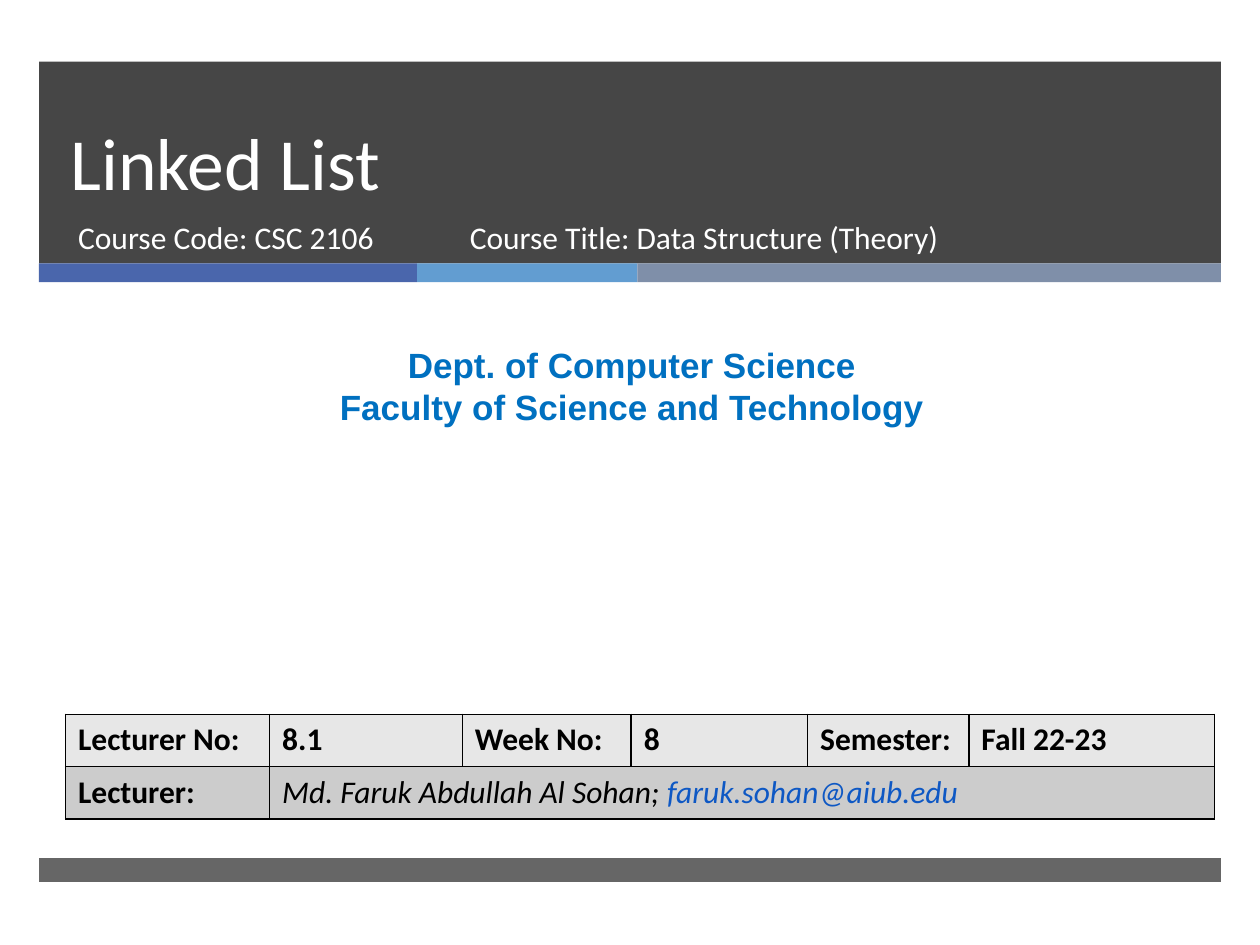
from lxml.etree import SubElement
from pptx import Presentation
from pptx.dml.color import RGBColor
from pptx.enum.shapes import MSO_SHAPE
from pptx.enum.text import MSO_ANCHOR, MSO_AUTO_SIZE, PP_ALIGN
from pptx.oxml.ns import qn
from pptx.util import Inches, Pt

DARK, WHITE, BLACK = "262626", "FFFFFF", "000000"


def rgb(color):
    return RGBColor.from_string(color)


def place(sp, left, top, width, height):
    sp.left, sp.top = Inches(left), Inches(top)
    sp.width, sp.height = Inches(width), Inches(height)


def add_run(p, text, size, color, font="Calibri", bold=False, italic=False):
    r = p.add_run()
    r.text = text
    f = r.font
    f.name, f.size, f.bold, f.italic = font, Pt(size), bold, italic
    f.color.rgb = rgb(color)


def add_band(s, left, top, width, height, color, alpha=100):
    sp = s.shapes.add_shape(MSO_SHAPE.RECTANGLE, Inches(left), Inches(top),
                            Inches(width), Inches(height))
    sp.shadow.inherit = False
    sp.fill.solid()
    sp.fill.fore_color.rgb = rgb(color)
    sp.line.fill.background()
    if alpha < 100:
        clr = sp.fill._xPr.find(qn("a:solidFill"))[0]
        SubElement(clr, qn("a:alpha"), val=str(alpha * 1000))


def fill_text(sp, lines, size, color, align=PP_ALIGN.LEFT,
              anchor=MSO_ANCHOR.TOP, line_spacing=None, **style):
    tf = sp.text_frame
    tf.word_wrap = True
    tf.auto_size = MSO_AUTO_SIZE.NONE
    tf.vertical_anchor = anchor
    for i, line in enumerate(lines):
        p = tf.add_paragraph() if i else tf.paragraphs[0]
        p.alignment = align
        p.space_before = Pt(0)
        if line_spacing:
            p.line_spacing = Pt(line_spacing)
        add_run(p, line, size, color, **style)


def add_text(s, box, lines, size, color, **style):
    sp = s.shapes.add_textbox(*map(Inches, box))
    fill_text(sp, lines, size, color, **style)


def format_cell(cell, fill):
    tcPr = cell._tc.get_or_add_tcPr()
    for side in ("a:lnL", "a:lnR", "a:lnT", "a:lnB"):
        ln = SubElement(tcPr, qn(side), w=str(Pt(1)))
        SubElement(SubElement(ln, qn("a:solidFill")), qn("a:srgbClr"), val=BLACK)
    cell.fill.solid()
    cell.fill.fore_color.rgb = rgb(fill)


def add_lecture_table(s):
    widths = [1.62, 1.53, 1.34, 1.4, 1.28, 1.95]
    tbl = s.shapes.add_table(2, 6, Inches(0.52), Inches(5.67),
                             Inches(sum(widths)), Inches(0.83)).table
    for col, width in zip(tbl.columns, widths):
        col.width = Inches(width)
    for row, fill in zip(tbl.rows, ("E7E7E7", "CCCCCC")):
        row.height = Inches(0.415)
        for cell in row.cells:
            format_cell(cell, fill)
    tbl.cell(1, 1).merge(tbl.cell(1, 5))

    labels = [["Lecturer No:", "8.1", "Week No:", "8", "Semester:", "Fall 22-23"],
              ["Lecturer:"]]
    for i, row in enumerate(labels):
        for j, text in enumerate(row):
            p = tbl.cell(i, j).text_frame.paragraphs[0]
            add_run(p, text, 18, BLACK, bold=True)
    p = tbl.cell(1, 1).text_frame.paragraphs[0]
    add_run(p, "Md. Faruk Abdullah Al Sohan; ", 18, BLACK, italic=True)
    add_run(p, "faruk.sohan@aiub.edu", 18, "0E58C4", italic=True)


def main():
    prs = Presentation()
    prs.slide_width, prs.slide_height = Inches(10), Inches(7.5)
    s = prs.slides.add_slide(prs.slide_layouts[0])
    title, subtitle = s.placeholders

    # Header, accent strip and footer
    add_band(s, 0.31, 0.49, 9.38, 1.6, DARK, 85)
    left = 0.31
    for width, color in ((3, "4A66AC"), (1.75, "629DD1"), (4.63, "7F8FA9")):
        add_band(s, left, 2.09, width, 0.15, color)
        left += width
    add_band(s, 0.31, 6.81, 9.38, 0.19, DARK, 70)

    # Title and course, in front of the header
    for sp in (title, subtitle):
        s.shapes._spTree.append(sp._element)
    place(title, 0.46, 0.49, 8.54, 1.19)
    fill_text(title, ["Linked List"], 42, WHITE, anchor=MSO_ANCHOR.BOTTOM,
              line_spacing=46)
    place(subtitle, 0.52, 1.68, 3.05, 0.53)
    fill_text(subtitle, ["Course Code: CSC 2106"], 18, WHITE)
    add_text(s, (3.63, 1.68, 4.55, 0.53),
             ["Course Title: Data Structure (Theory)"], 18, WHITE)

    # Department
    add_text(s, (0.08, 2.68, 9.87, 0.77),
             ["Dept. of Computer Science", "Faculty of Science and Technology"],
             20, "0070C0", align=PP_ALIGN.CENTER, font="Arial", bold=True)

    # Lecture details
    add_lecture_table(s)
    prs.save("out.pptx")


main()
